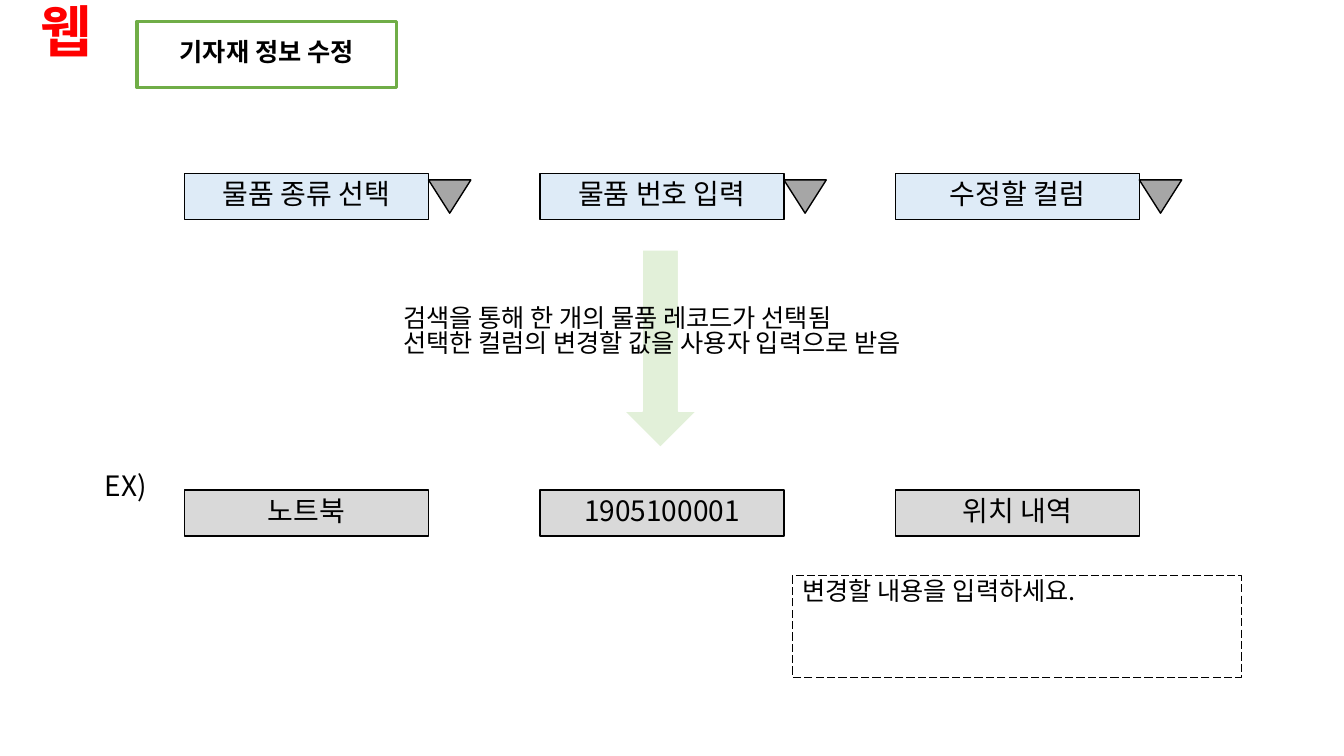
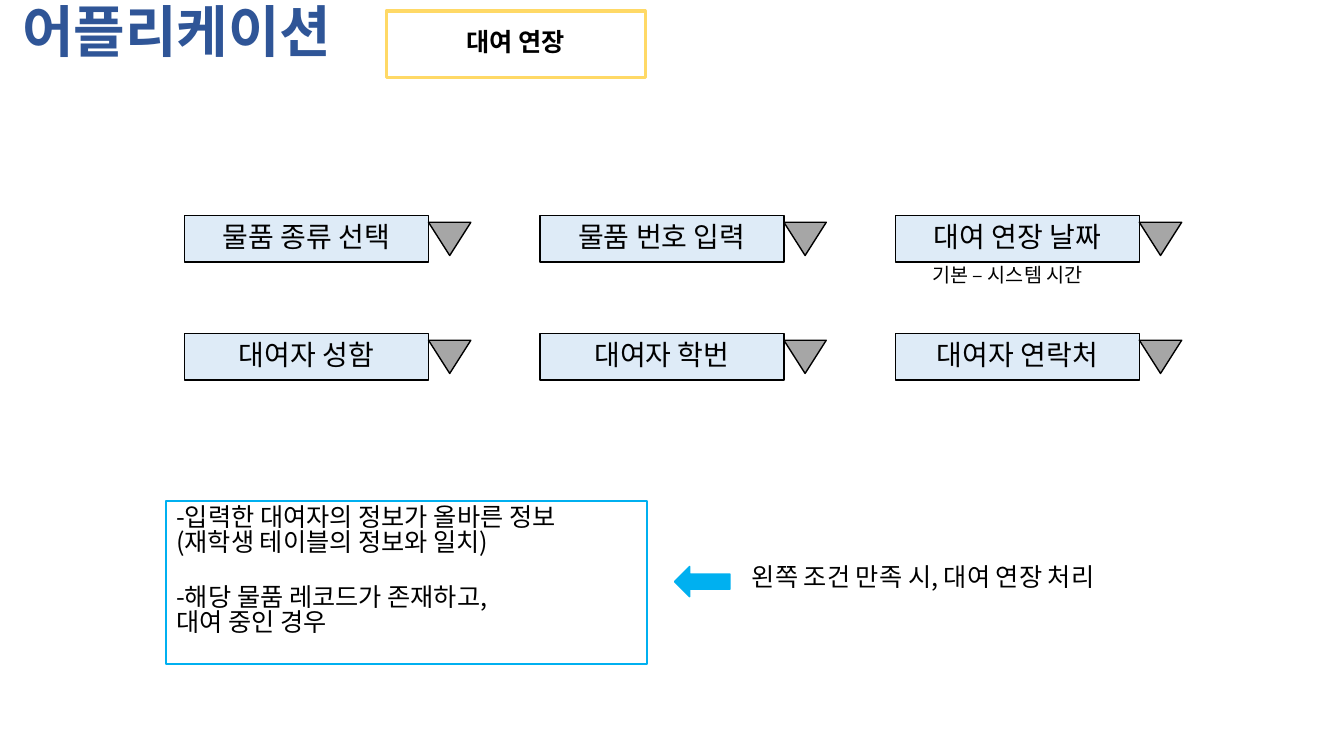
from lxml import etree
from pptx import Presentation
from pptx.dml.color import RGBColor
from pptx.enum.dml import MSO_LINE
from pptx.enum.shapes import MSO_SHAPE
from pptx.enum.text import MSO_ANCHOR, MSO_AUTO_SIZE, PP_ALIGN
from pptx.oxml.ns import qn
from pptx.util import Inches, Pt

RECTANGLE = MSO_SHAPE.RECTANGLE
PROCESS = MSO_SHAPE.FLOWCHART_PROCESS
TRIANGLE = MSO_SHAPE.FLOWCHART_EXTRACT
DOWN_ARROW = MSO_SHAPE.DOWN_ARROW
LEFT_ARROW = MSO_SHAPE.LEFT_ARROW
LONG_DASH = MSO_LINE.LONG_DASH
TOP, MIDDLE = MSO_ANCHOR.TOP, MSO_ANCHOR.MIDDLE
LEFT, CENTER = PP_ALIGN.LEFT, PP_ALIGN.CENTER
NO_AUTOFIT = MSO_AUTO_SIZE.NONE

FONT = "Noto Sans CJK KR"
LINE_SPACING = 0.83
TITLE_ONLY = 5
BLACK, WHITE = "000000", "FFFFFF"
RED, NAVY = "FF0000", "2F5597"
GREEN, YELLOW, CYAN = "70AD47", "FFD966", "00B0F0"
PALE_BLUE, PALE_GREEN = "DEEBF7", "E2F0D9"
LIGHT_GRAY, GRAY = "D9D9D9", "A6A6A6"

GRID_LEFT, COLUMN_STEP = 1.83, 3.525
FIELD_WIDTH, FIELD_HEIGHT = 2.42, 0.46
MARK_WIDTH, MARK_HEIGHT = 0.42, 0.33


def color(value):
    return RGBColor.from_string(value)


def write(shape, lines, size, ink=BLACK, bold=False, align=LEFT, anchor=TOP, gaps=()):
    frame = shape.text_frame
    frame.word_wrap = True
    frame.auto_size = NO_AUTOFIT
    frame.vertical_anchor = anchor
    frame.text = "\n".join(lines)
    for index, paragraph in enumerate(frame.paragraphs):
        paragraph.alignment = align
        paragraph.line_spacing = LINE_SPACING
        paragraph.space_before = Pt(size * 1.2 if index in gaps else 0)
        font = paragraph.font
        font.name, font.size, font.bold = FONT, Pt(size), bold
        font.color.rgb = color(ink)
        properties = paragraph._p.pPr.find(qn("a:defRPr"))
        etree.SubElement(properties, qn("a:ea")).set("typeface", FONT)


def add_box(slide, kind, box, fill=None, line=BLACK, weight=1):
    shape = slide.shapes.add_shape(kind, *map(Inches, box))
    shape.shadow.inherit = False
    if fill:
        shape.fill.solid()
        shape.fill.fore_color.rgb = color(fill)
    else:
        shape.fill.background()
    shape.line.color.rgb = color(line)
    shape.line.width = Pt(weight)
    return shape


def add_text(slide, box, lines, size):
    write(slide.shapes.add_textbox(*map(Inches, box)), lines, size)


def add_header(presentation, title, title_box, ink, screen, screen_box, line):
    slide = presentation.slides.add_slide(presentation.slide_layouts[TITLE_ONLY])
    heading = slide.shapes.title
    heading.left, heading.top, heading.width, heading.height = map(Inches, title_box)
    write(heading, [title], 40, ink, bold=True)
    label = add_box(slide, PROCESS, screen_box, WHITE, line, 2.25)
    write(label, [screen], 18, bold=True, align=CENTER, anchor=MIDDLE)
    return slide


def add_field_row(slide, top, labels, fill=PALE_BLUE, marked=True):
    for column, label in enumerate(labels):
        left = GRID_LEFT + column * COLUMN_STEP
        field = add_box(slide, RECTANGLE, (left, top, FIELD_WIDTH, FIELD_HEIGHT), fill)
        write(field, [label], 20, align=CENTER, anchor=MIDDLE)
        if marked:
            mark_top = top + (FIELD_HEIGHT - MARK_HEIGHT) / 2
            mark_box = (left + FIELD_WIDTH, mark_top, MARK_WIDTH, MARK_HEIGHT)
            add_box(slide, TRIANGLE, mark_box, GRAY).rotation = 180


def build_edit_slide(presentation):
    slide = add_header(presentation, "웹", (0.3, 0.03, 0.8, 0.77), RED,
                       "기자재 정보 수정", (1.36, 0.21, 2.57, 0.66), GREEN)
    add_box(slide, DOWN_ARROW, (6.19, 2.48, 0.72, 1.96), PALE_GREEN, WHITE)
    add_field_row(slide, 1.72, ["물품 종류 선택", "물품 번호 입력", "수정할 컬럼"])
    add_text(slide, (3.9, 3, 6.03, 0.71),
             ["검색을 통해 한 개의 물품 레코드가 선택됨",
              "선택한 컬럼의 변경할 값을 사용자 입력으로 받음"], 18)
    add_text(slide, (0.94, 4.66, 0.8, 0.44), ["EX)"], 20)
    add_field_row(slide, 4.86, ["노트북", "1905100001", "위치 내역"], LIGHT_GRAY, False)
    entry = add_box(slide, RECTANGLE, (7.86, 5.71, 4.45, 1.01), weight=0.75)
    entry.line.dash_style = LONG_DASH
    write(entry, ["변경할 내용을 입력하세요."], 18)


def build_extension_slide(presentation):
    slide = add_header(presentation, "어플리케이션", (0.12, 0.03, 3.57, 0.77), NAVY,
                       "대여 연장", (3.83, 0.11, 2.57, 0.66), YELLOW)
    add_field_row(slide, 2.14, ["물품 종류 선택", "물품 번호 입력", "대여 연장 날짜"])
    add_text(slide, (9.15, 2.6, 1.88, 0.34), ["기본 – 시스템 시간"], 14)
    add_field_row(slide, 3.31, ["대여자 성함", "대여자 학번", "대여자 연락처"])
    conditions = add_box(slide, RECTANGLE, (1.65, 4.97, 4.77, 1.62), line=CYAN, weight=1.5)
    write(conditions,
          ["-입력한 대여자의 정보가 올바른 정보", "(재학생 테이블의 정보와 일치)",
           "-해당 물품 레코드가 존재하고,", "대여 중인 경우"], 18, gaps=(2,))
    add_box(slide, LEFT_ARROW, (6.69, 5.62, 0.55, 0.3), CYAN, CYAN)
    add_text(slide, (7.36, 5.57, 5.5, 0.4), ["왼쪽 조건 만족 시, 대여 연장 처리"], 18)


def main():
    presentation = Presentation()
    presentation.slide_width = Inches(13.33)
    presentation.slide_height = Inches(7.5)
    build_edit_slide(presentation)
    build_extension_slide(presentation)
    presentation.save("out.pptx")


if __name__ == "__main__":
    main()
